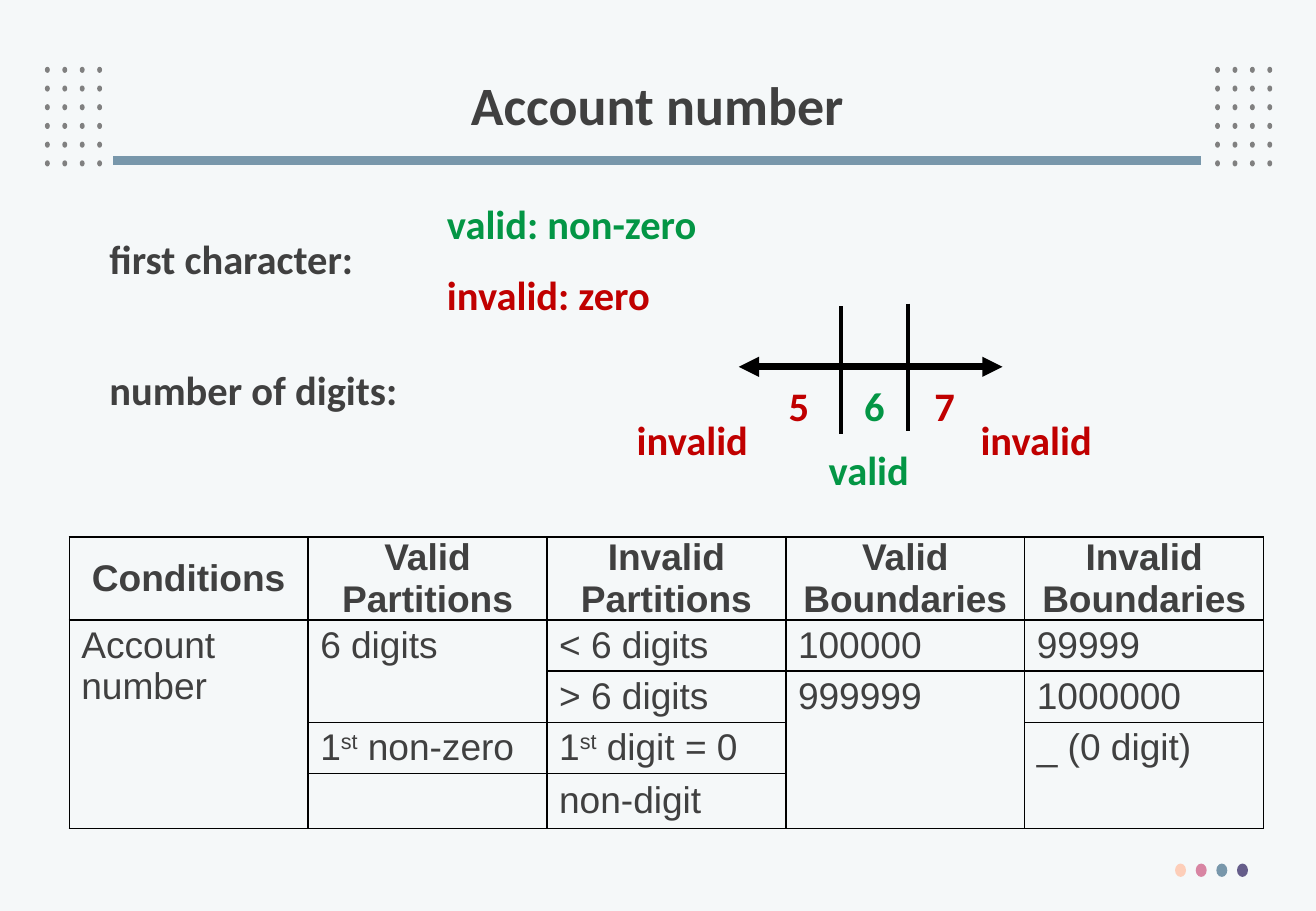
"""Builds the account number slide with its partitions and boundaries table."""
from lxml import etree
from pptx import Presentation
from pptx import util as u
from pptx.dml.color import RGBColor
from pptx.enum import shapes, text
from pptx.oxml.ns import qn

COLORS = {"page": "F5F8F9", "ink": "404040", "dot": "808080", "black": "000000",
          "bar": "7897AB", "bad": "C00000", "good": "039645",
          "peach": "FDCEB9", "pink": "D885A3", "violet": "655D8A"}
MIDDLE = text.MSO_ANCHOR.MIDDLE
TOP = text.MSO_ANCHOR.TOP
CENTER = text.PP_ALIGN.CENTER
LEFT = text.PP_ALIGN.LEFT
FIT = text.MSO_AUTO_SIZE.SHAPE_TO_FIT_TEXT


def rgb(name):
    return RGBColor.from_string(COLORS[name])


def apply(target, values):
    for name, value in values.items():
        setattr(target, name, value)


class Slide:
    def __init__(self, page):
        self.page = page
        self.font = {"name": "Calibri", "size": u.Pt(24), "bold": True}
        background = page.background.fill
        background.solid()
        background.fore_color.rgb = rgb("page")

    def add_words(self, para, words, color, **font):
        for index, part in enumerate(words.split("^")):
            span = para.add_run()
            span.text = part
            apply(span.font, {**self.font, **font})
            span.font.color.rgb = rgb(color)
            if index % 2:
                span._r.get_or_add_rPr().set("baseline", "30000")

    def label(self, place, words, color="ink", spacing=0.87, inset=(0.07, 0.03),
              frame=None, align=LEFT, **font):
        box = self.page.shapes.add_textbox(*map(u.Inches, place))
        side, edge = map(u.Inches, inset)
        apply(box.text_frame, {
            "margin_left": side, "margin_right": side, "margin_top": edge,
            "margin_bottom": edge, "word_wrap": False, "auto_size": FIT,
            **(frame or {})})
        para = box.text_frame.paragraphs[0]
        apply(para, {"line_spacing": spacing, "alignment": align})
        self.add_words(para, words, color, **font)

    def dot(self, left, top, width, height, color):
        dot = self.page.shapes.add_shape(
            shapes.MSO_SHAPE.OVAL, *map(u.Inches, (left, top, width, height)))
        dot.shadow.inherit = False
        dot.fill.solid()
        dot.fill.fore_color.rgb = rgb(color)
        dot.line.fill.background()

    def line(self, start, end, color, width, arrows=False):
        line = self.page.shapes.add_connector(
            shapes.MSO_CONNECTOR.STRAIGHT, *map(u.Inches, start + end))
        line.line.color.rgb = rgb(color)
        line.line.width = u.Pt(width)
        if arrows:
            for tag in ("a:headEnd", "a:tailEnd"):
                etree.SubElement(line.line._ln, qn(tag), type="triangle")
        etree.SubElement(line._element.spPr, qn("a:effectLst"))

    def border(self, cell):
        props = cell._tc.get_or_add_tcPr()
        for side in ("a:lnL", "a:lnR", "a:lnT", "a:lnB"):
            edge = etree.SubElement(props, qn(side), w=str(u.Pt(1)))
            fill = etree.SubElement(edge, qn("a:solidFill"))
            etree.SubElement(fill, qn("a:srgbClr"), val=COLORS["black"])

    def table(self, place, rows, heights, merges, top_cells):
        table = self.page.shapes.add_table(
            len(rows), len(rows[0]), *map(u.Inches, place)).table
        apply(table, {"first_row": False, "horz_banding": False})
        for column in table.columns:
            column.width = u.Inches(place[2] / len(rows[0]))
        for r, (words, height) in enumerate(zip(rows, heights)):
            table.rows[r].height = u.Inches(height)
            margin = u.Inches(0.04 if r else 0)
            for c, content in enumerate(words):
                cell = table.cell(r, c)
                self.border(cell)
                cell.fill.background()
                apply(cell, {
                    "margin_left": u.Inches(0.1), "margin_right": u.Inches(0.1),
                    "margin_top": margin, "margin_bottom": margin,
                    "vertical_anchor": TOP if (r, c) in top_cells else MIDDLE})
                if content:
                    para = cell.text_frame.paragraphs[0]
                    para.alignment = LEFT if r else CENTER
                    self.add_words(para, content, "ink", name="Arial",
                                   size=u.Pt(22), bold=r == 0)
        for first, last in merges:
            table.cell(*first).merge(table.cell(*last))


def main():
    deck = Presentation()
    deck.slide_width, deck.slide_height = u.Inches(10.83), u.Inches(7.5)
    slide = Slide(deck.slides.add_slide(deck.slide_layouts[6]))

    for corner in (0.37, 10):
        for row in range(6):
            for column in range(4):
                slide.dot(corner + 0.43 * column / 3, 0.55 + 0.77 * row / 5,
                          0.04, 0.05, "dot")
    slide.line((9.88, 1.32), (0.93, 1.32), "bar", 5.25)
    for index, color in enumerate(("peach", "pink", "bar", "violet")):
        slide.dot(9.67 + 0.17 * index, 7.11, 0.09, 0.11, color)

    slide.table(
        (0.57, 4.42, 9.83, 2.39),
        [["Conditions", "Valid Partitions", "Invalid Partitions",
          "Valid Boundaries", "Invalid Boundaries"],
         ["Account number", "6 digits", "< 6 digits", "100000", "99999"],
         ["", "", "> 6 digits", "999999", "1000000"],
         ["", "1^st^ non-zero", "1^st^ digit = 0", "", "_ (0 digit)"],
         ["", "", "non-digit", "", ""]],
        heights=(0.68, 0.42, 0.42, 0.42, 0.45),
        merges=[((1, 0), (4, 0)), ((1, 1), (2, 1)),
                ((2, 3), (4, 3)), ((3, 4), (4, 4))],
        top_cells={(1, 0), (1, 1), (2, 3), (3, 1), (3, 4)})

    fixed = {"word_wrap": True, "auto_size": text.MSO_AUTO_SIZE.NONE,
             "vertical_anchor": MIDDLE}
    slide.label((0.74, 0.4, 9.34, 0.98), "Account number", spacing=0.9,
                inset=(0.1, 0.05), frame=fixed, align=CENTER, size=u.Pt(32))
    for top, width, words in ((1.92, 3, "first character:"),
                              (3, 3.58, "number of digits:")):
        slide.label((0.83, top, width, 0.45), words, spacing=0.97,
                    frame={"word_wrap": True})
    for top, width, words, color in ((1.59, 2.29, "valid: non-zero", "good"),
                                     (2.17, 1.91, "invalid: zero", "bad")):
        slide.label((3.58, top, width, 0.51), words, color, spacing=1,
                    inset=(0.1, 0.05))

    slide.line((6.08, 3.02), (8.25, 3.02), "black", 4, arrows=True)
    for left, top, width, words, color in (
            (6.42, 3.16, 0.31, "5", "bad"), (7.04, 3.16, 0.31, "6", "good"),
            (7.62, 3.16, 0.31, "7", "bad"), (5.17, 3.44, 1.07, "invalid", "bad"),
            (6.75, 3.69, 0.81, "valid", "good"),
            (8, 3.44, 1.07, "invalid", "bad")):
        slide.label((left, top, width, 0.41), words, color)
    for left, top in ((6.92, 2.52), (7.47, 2.5)):
        slide.line((left, top), (left, top + 1.05), "black", 2.25)

    deck.save("out.pptx")


if __name__ == "__main__":
    main()
